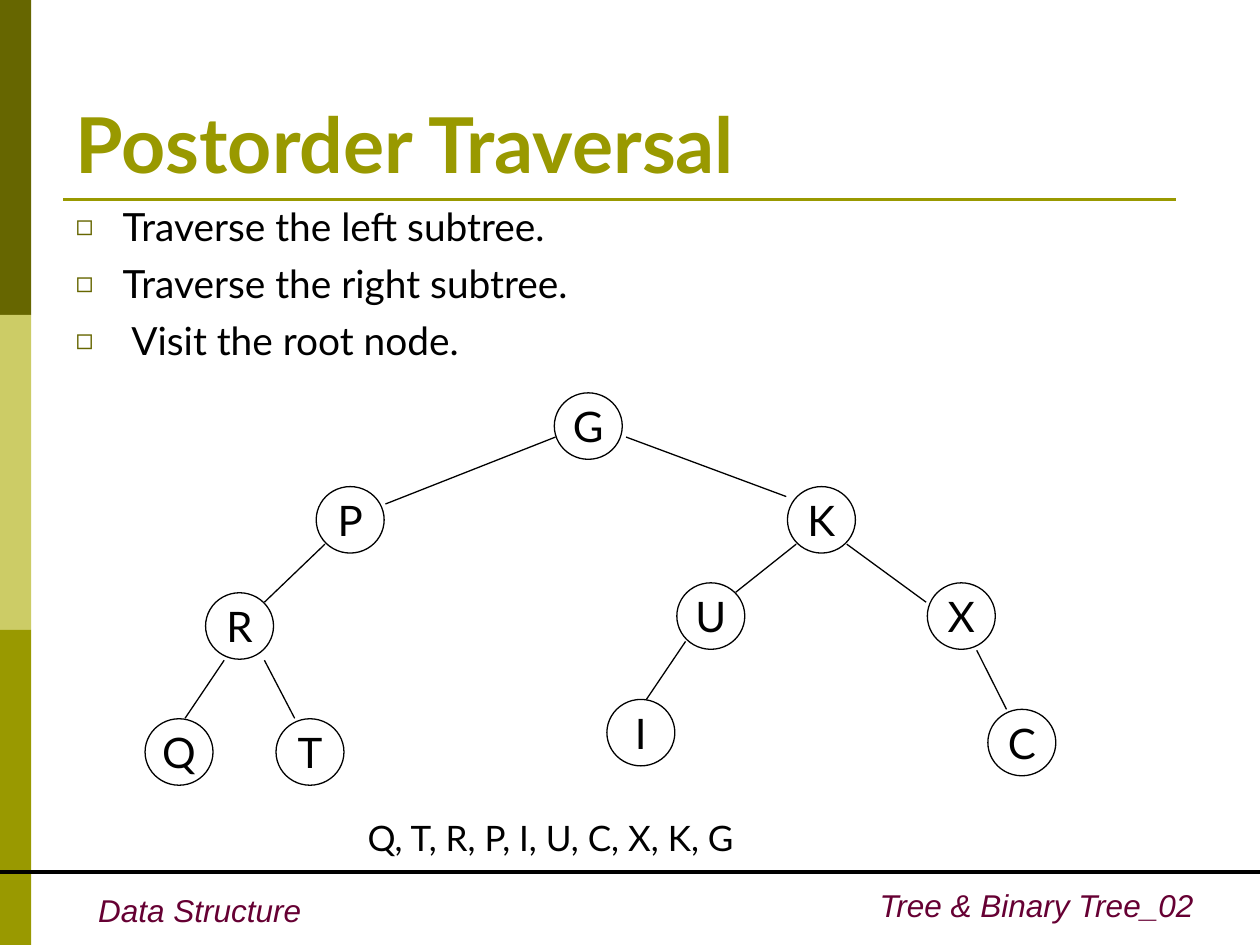
from lxml.etree import SubElement
from pptx import Presentation
from pptx.dml.color import RGBColor
from pptx.enum.shapes import MSO_CONNECTOR, MSO_SHAPE
from pptx.enum.text import MSO_ANCHOR, MSO_AUTO_SIZE, PP_ALIGN
from pptx.oxml.ns import qn
from pptx.util import Cm, Pt

BLACK = RGBColor(0x00, 0x00, 0x00)
DARK_OLIVE = RGBColor(0x66, 0x66, 0x00)
PALE_OLIVE = RGBColor(0xCC, 0xCC, 0x66)
OLIVE = RGBColor(0x99, 0x99, 0x00)
PLUM = RGBColor(0x66, 0x00, 0x33)

TITLE = "Postorder Traversal"
STEPS = ["Traverse the left subtree.", "Traverse the right subtree.", " Visit the root node."]
RESULT = "Q, T, R, P, I, U, C, X, K, G"

# Positions are in centimetres.
NODE_W, NODE_H = 1.37, 1.34
NODE_CENTRES = {
    "G": (11.86, 8.59),
    "P": (7.06, 10.48), "K": (16.56, 10.48),
    "R": (4.83, 12.62), "U": (14.33, 12.42), "X": (19.38, 12.42),
    "Q": (3.61, 15.16), "T": (6.25, 15.16), "I": (12.92, 14.77), "C": (20.6, 14.97),
}
EDGES = [  # x1, y1, x2, y2
    (11.2, 8.81, 7.77, 10.16),     # G-P
    (12.62, 8.81, 15.85, 10.01),   # G-K
    (6.55, 10.97, 5.33, 12.14),    # P-R
    (16.05, 10.97, 14.83, 11.94),  # K-U
    (17.07, 10.97, 18.67, 12.14),  # K-X
    (4.52, 13.31, 3.73, 14.48),    # R-Q
    (5.33, 13.31, 5.94, 14.48),    # R-T
    (13.82, 12.93, 13.03, 14.1),   # U-I
    (19.69, 13.11, 20.29, 14.3),   # X-C
]
BAND_W, BAND_H = 0.63, 6.35


def place(sp, x, y, w, h):
    sp.left, sp.top, sp.width, sp.height = Cm(x), Cm(y), Cm(w), Cm(h)


def style(p, size, color=BLACK, font="Lato", bold=False, italic=False):
    for r in p.runs:
        f = r.font
        f.name, f.size, f.bold, f.italic = font, Pt(size), bold, italic
        f.color.rgb = color


def add_line(s, x1, y1, x2, y2, color=BLACK, width=0.75):
    line = s.shapes.add_connector(MSO_CONNECTOR.STRAIGHT, Cm(x1), Cm(y1), Cm(x2), Cm(y2))
    line.line.color.rgb = color
    line.line.width = Pt(width)
    SubElement(line._element.spPr, qn("a:effectLst"))


def add_text(s, text, x, y, w, h, align=PP_ALIGN.LEFT, **look):
    tf = s.shapes.add_textbox(Cm(x), Cm(y), Cm(w), Cm(h)).text_frame
    tf.word_wrap = True
    tf.text = text
    p = tf.paragraphs[0]
    p.alignment = align
    style(p, **look)


def add_band(s, index, color):
    sp = s.shapes.add_shape(MSO_SHAPE.RECTANGLE, 0, Cm(index * BAND_H), Cm(BAND_W), Cm(BAND_H))
    sp.shadow.inherit = False
    sp.fill.solid()
    sp.fill.fore_color.rgb = color
    sp.line.fill.background()


def add_node(s, label, cx, cy):
    sp = s.shapes.add_shape(MSO_SHAPE.OVAL, Cm(cx - NODE_W / 2), Cm(cy - NODE_H / 2),
                            Cm(NODE_W), Cm(NODE_H))
    sp.shadow.inherit = False
    sp.fill.background()
    sp.line.color.rgb = BLACK
    sp.line.width = Pt(0.75)
    tf = sp.text_frame
    tf.margin_left = tf.margin_right = tf.margin_top = tf.margin_bottom = 0
    tf.word_wrap = False
    tf.vertical_anchor = MSO_ANCHOR.MIDDLE
    tf.text = label
    tf.paragraphs[0].alignment = PP_ALIGN.CENTER
    style(tf.paragraphs[0], 24)


def add_square_bullet(p):
    pPr = p._p.get_or_add_pPr()
    pPr.set("marL", str(Cm(0.95)))
    pPr.set("indent", str(-Cm(0.95)))
    color = SubElement(pPr, qn("a:buClr"))
    SubElement(color, qn("a:srgbClr"), val=str(DARK_OLIVE))
    SubElement(pPr, qn("a:buSzPct"), val="75000")
    SubElement(pPr, qn("a:buChar"), char="◻")


def fill_title(sp):
    place(sp, 1.27, 0.76, 22.86, 3.18)
    tf = sp.text_frame
    tf.auto_size = MSO_AUTO_SIZE.NONE
    tf.vertical_anchor = MSO_ANCHOR.BOTTOM
    tf.text = TITLE
    tf.paragraphs[0].alignment = PP_ALIGN.LEFT
    style(tf.paragraphs[0], 44, OLIVE, bold=True)


def fill_steps(sp):
    place(sp, 1.27, 3.96, 22.86, 3.68)
    tf = sp.text_frame
    tf.auto_size = MSO_AUTO_SIZE.NONE
    tf.vertical_anchor = MSO_ANCHOR.TOP
    for i, step in enumerate(STEPS):
        p = tf.paragraphs[0] if i == 0 else tf.add_paragraph()
        p.text = step
        add_square_bullet(p)
        p.space_before = Pt(6 if i else 0)
        style(p, 22.2)


def main():
    prs = Presentation()
    prs.slide_width, prs.slide_height = Cm(25.4), Cm(19.05)
    s = prs.slides.add_slide(prs.slide_layouts[1])

    for i, color in enumerate([DARK_OLIVE, PALE_OLIVE, OLIVE]):
        add_band(s, i, color)
    add_line(s, 1.27, 4.02, 23.7, 4.02, OLIVE, 1.5)
    add_line(s, 0, 17.57, 25.4, 17.57, width=2.25)

    footer = dict(size=18, color=PLUM, font="Arial", italic=True)
    add_text(s, "Data Structure", 1.73, 17.83, 4.8, 1.02, **footer)
    add_text(s, "Tree & Binary Tree_02", 16.51, 17.73, 7.8, 1.02, PP_ALIGN.RIGHT, **footer)

    fill_title(s.shapes.title)
    fill_steps(s.placeholders[1])

    for edge in EDGES:
        add_line(s, *edge)
    for label, (cx, cy) in NODE_CENTRES.items():
        add_node(s, label, cx, cy)
    add_text(s, RESULT, 7.16, 16.33, 8.4, 1.12, size=20)

    prs.save("out.pptx")


if __name__ == "__main__":
    main()
